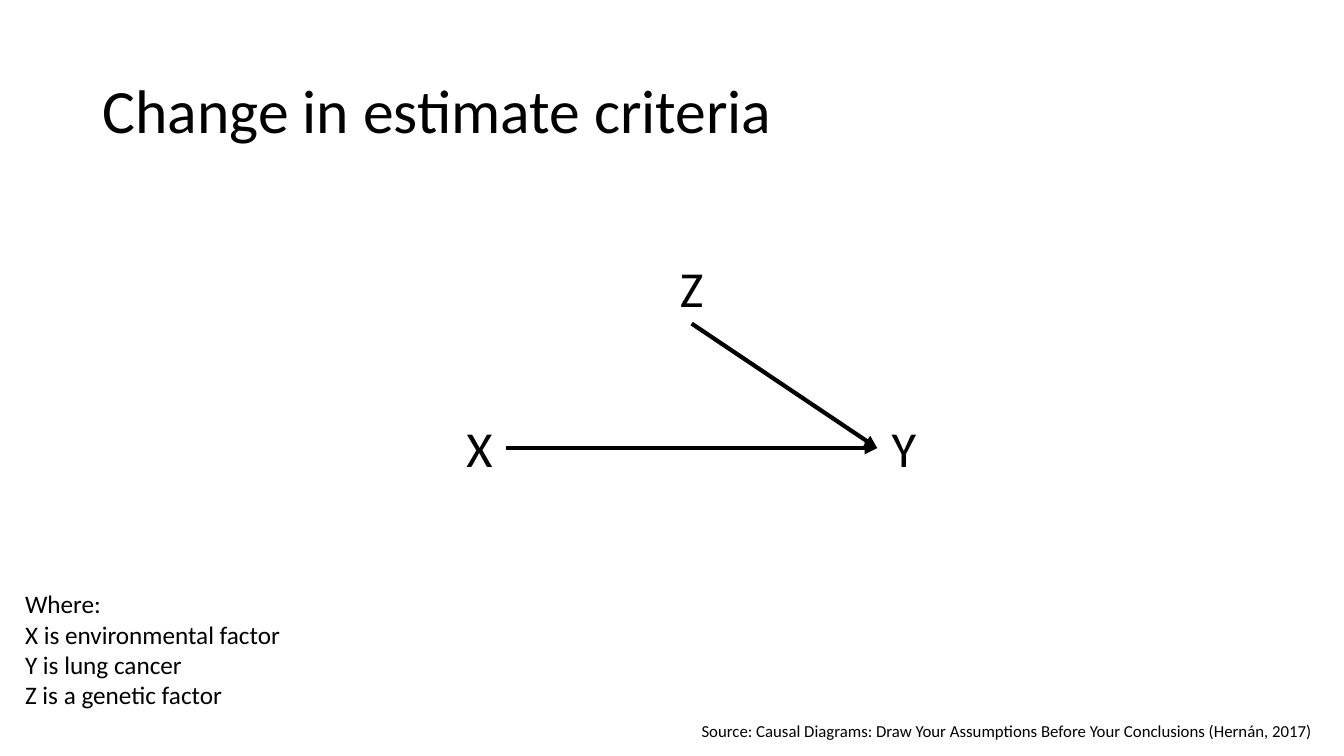
from pptx import Presentation
from pptx import util as u
from pptx.dml.color import RGBColor
from pptx.enum import shapes, text
from pptx.oxml.ns import qn
from lxml import etree

COLOURS = {"ink": "000000"}
FONT = "Calibri"
NODE_WIDTH, NODE_HEIGHT = 0.53, 0.71


def ink():
    return RGBColor.from_string(COLOURS["ink"])


def apply_format(target, values):
    for name, value in values.items():
        setattr(target, name, value)


def add_text(page, box, lines, size, frame_format=None, para_format=None):
    frame = page.shapes.add_textbox(*map(u.Inches, box)).text_frame
    apply_format(frame, {"word_wrap": True, **(frame_format or {})})
    for index, line in enumerate(lines):
        para = frame.paragraphs[0] if index == 0 else frame.add_paragraph()
        apply_format(para, para_format or {})
        span = para.add_run()
        span.text = line
        apply_format(span.font, {"name": FONT, "size": u.Pt(size)})
        span.font.color.rgb = ink()


def add_arrow(page, start, end):
    arrow = page.shapes.add_connector(
        shapes.MSO_CONNECTOR.STRAIGHT, *map(u.Inches, (*start, *end)))
    arrow.line.width = u.Pt(3)
    arrow.line.color.rgb = ink()
    properties = arrow._element.spPr
    outline = properties.find(qn("a:ln"))
    etree.SubElement(outline, qn("a:tailEnd")).set("type", "triangle")
    etree.SubElement(properties, qn("a:effectLst"))


def add_title(page, box):
    add_text(page, box, ["Change in estimate criteria"], 44,
             {"vertical_anchor": text.MSO_ANCHOR.MIDDLE}, {"line_spacing": 0.9})


def add_causal_diagram(page, box):
    left, top, width, height = box
    right = left + width - NODE_WIDTH
    base = top + height - NODE_HEIGHT
    middle = (left + right) / 2
    nodes = {"X": (left, base), "Y": (right, base), "Z": (middle, top)}
    for name, place in nodes.items():
        add_text(page, (*place, NODE_WIDTH, NODE_HEIGHT), [name], 36,
                 para_format={"alignment": text.PP_ALIGN.CENTER})
    level = base + NODE_HEIGHT / 2
    outcome = (right, level)
    add_arrow(page, (middle + NODE_WIDTH / 2, top + NODE_HEIGHT), outcome)
    add_arrow(page, (left + NODE_WIDTH, level), outcome)


def add_legend(page, box):
    add_text(page, box, ["Where:", "X is environmental factor",
                         "Y is lung cancer", "Z is a genetic factor"],
             18, {"word_wrap": False})


def add_source(page, box):
    add_text(page, box, ["Source: Causal Diagrams: Draw Your Assumptions Before "
                         "Your Conclusions (Hernán, 2017)"],
             12, {"word_wrap": False})


deck = Presentation()
apply_format(deck, {"slide_width": u.Inches(13.33), "slide_height": u.Inches(7.5)})
page = deck.slides.add_slide(deck.slide_layouts[6])
add_title(page, (0.92, 0.4, 11.5, 1.45))
add_causal_diagram(page, (4.49, 2.5, 4.74, 2.3))
add_legend(page, (0.15, 5.79, 2.76, 1.31))
add_source(page, (6.86, 7.1, 6.33, 0.3))
deck.save("out.pptx")
